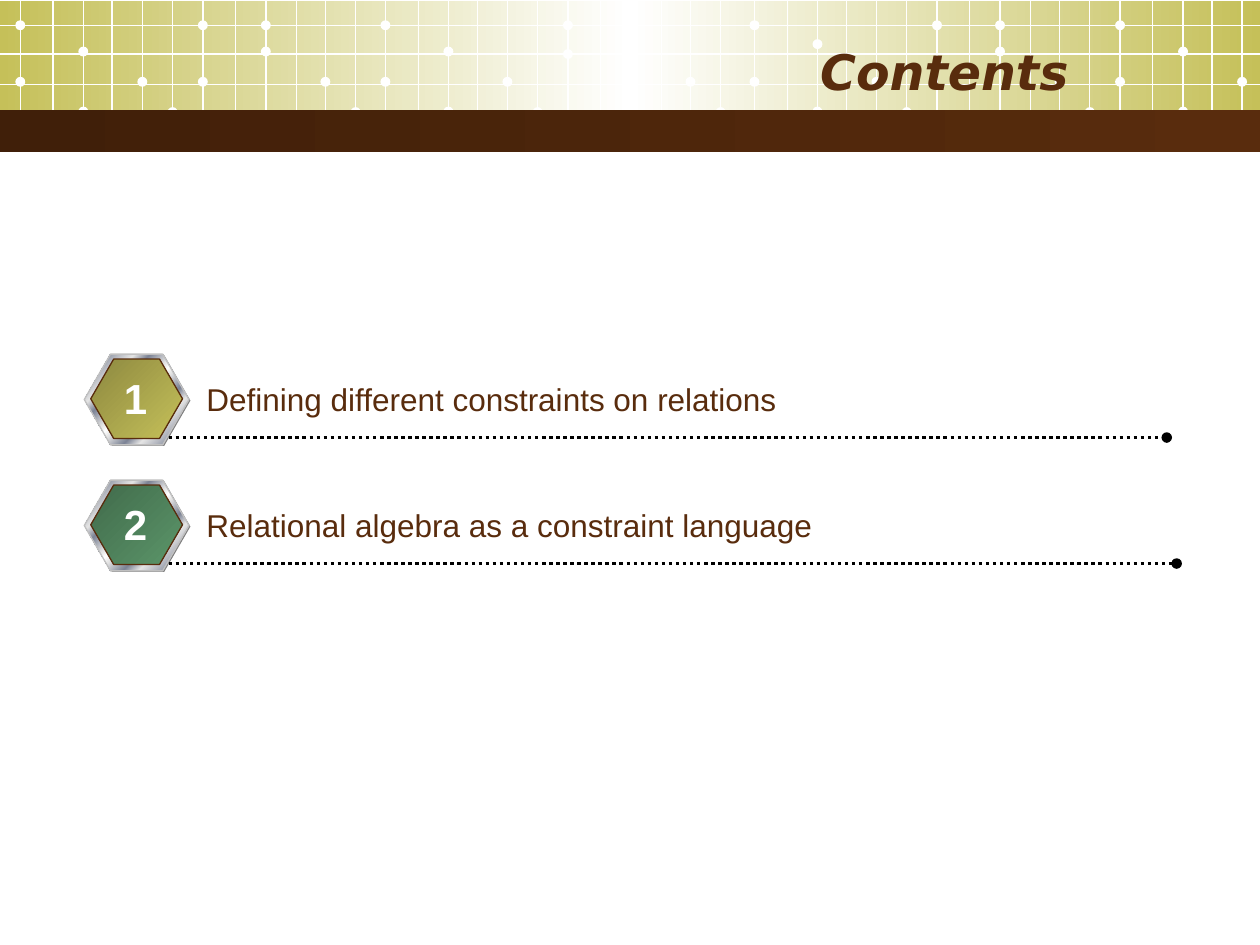
from copy import deepcopy
from dataclasses import dataclass

from lxml import etree
from pptx import Presentation
from pptx.dml.color import RGBColor
from pptx.enum.dml import MSO_LINE
from pptx.enum.shapes import MSO_CONNECTOR, MSO_SHAPE
from pptx.enum.text import MSO_ANCHOR, MSO_AUTO_SIZE, PP_ALIGN
from pptx.oxml.ns import qn
from pptx.util import Cm, Pt

RECTANGLE, OVAL, HEXAGON = MSO_SHAPE.RECTANGLE, MSO_SHAPE.OVAL, MSO_SHAPE.HEXAGON
STRAIGHT = MSO_CONNECTOR.STRAIGHT
DOTTED = MSO_LINE.ROUND_DOT
LEFT, CENTER, RIGHT = PP_ALIGN.LEFT, PP_ALIGN.CENTER, PP_ALIGN.RIGHT
MIDDLE = MSO_ANCHOR.MIDDLE
GROW = MSO_AUTO_SIZE.SHAPE_TO_FIT_TEXT

WHITE = RGBColor(0xFF, 0xFF, 0xFF)
BLACK = RGBColor(0x00, 0x00, 0x00)
BROWN = RGBColor(0x59, 0x2C, 0x0D)
DARK_BROWN = RGBColor(0x40, 0x1F, 0x09)
OLIVE = RGBColor(0xC5, 0xC0, 0x59)
DARK_OLIVE = RGBColor(0x8D, 0x89, 0x40)
GREEN = RGBColor(0x5B, 0x95, 0x69)
DARK_GREEN = RGBColor(0x41, 0x6B, 0x4B)
GRAY = RGBColor(0x80, 0x80, 0x80)
SILVER = RGBColor(0xC0, 0xC0, 0xC0)
LIGHT = RGBColor(0xE6, 0xE6, 0xE6)
STEEL = RGBColor(0x7D, 0x84, 0x96)

Stops = list[tuple[int, RGBColor]]
METAL: Stops = [(0, LIGHT), (8, STEEL), (26, LIGHT), (34, STEEL), (46, LIGHT), (50, WHITE),
                (54, LIGHT), (66, STEEL), (74, LIGHT), (92, STEEL), (100, LIGHT)]

# Header grid in cm: a tile of twelve columns, repeated across the page
TILE_LEFTS = (0.41, 7.77, 15.21, 22.58)
COLUMNS = (0, 0.66, 1.27, 1.85, 2.46, 3.07, 3.68, 4.34, 4.95, 5.56, 6.15, 6.76)
ROWS = (0.51, 1.09, 1.7, 2.26)
TILE_DOTS = ((0, 1.65), (0, 0.51), (2, 1.04), (2, 2.25), (4, 1.65), (5, 2.26),
             (6, 1.65), (6, 0.51), (8, 1.04), (8, 0.51), (10, 1.65), (11, 2.26))
MOVED_DOTS = {(1, 6, 1.65): 1.09, (2, 2, 1.04): 0.89, (2, 6, 1.65): 1.3}
DOT_SIZE = 0.2
PAGE_WIDTH = 25.4


@dataclass
class Box:
    left: float
    top: float
    width: float
    height: float

    def lengths(self) -> tuple:
        return Cm(self.left), Cm(self.top), Cm(self.width), Cm(self.height)


@dataclass
class Item:
    number: str
    text: str
    dark: RGBColor
    light: RGBColor
    text_width: float
    line_end: float


ITEMS = (
    Item("1", "Defining different constraints on relations", DARK_OLIVE, OLIVE, 19.41, 23.52),
    Item("2", "Relational algebra as a constraint language", DARK_GREEN, GREEN, 19.79, 23.72),
)
FIRST_TOP, ITEM_STEP = 7.14, 2.54


def set_gradient(shape, stops: Stops, angle: float) -> None:
    shape.fill.gradient()
    shape.fill.gradient_angle = angle
    stop_list = shape._element.spPr.find(qn("a:gradFill")).find(qn("a:gsLst"))
    for extra in stop_list[1:]:
        stop_list.remove(extra)
    for _ in stops[1:]:
        stop_list.append(deepcopy(stop_list[0]))
    for stop, (percent, color) in zip(shape.fill.gradient_stops, stops):
        stop.position = percent / 100
        stop.color.rgb = color


def add_shape(page, kind, box: Box, fill: RGBColor | Stops, angle: float = 0,
              outline: RGBColor | None = None):
    shape = page.shapes.add_shape(kind, *box.lengths())
    shape.shadow.inherit = False
    if isinstance(fill, list):
        set_gradient(shape, fill, angle)
    else:
        shape.fill.solid()
        shape.fill.fore_color.rgb = fill
    if outline is None:
        shape.line.fill.background()
    else:
        shape.line.color.rgb = outline
        shape.line.width = Pt(0.75)
    return shape


def add_hexagon(page, box: Box, fill: RGBColor | Stops, outline: RGBColor | None = None) -> None:
    hexagon = add_shape(page, HEXAGON, box, fill, 315, outline)
    hexagon.adjustments[0] = 0.289


def add_line(page, start: tuple[float, float], end: tuple[float, float],
             color: RGBColor, width: float):
    line = page.shapes.add_connector(STRAIGHT, *map(Cm, start + end))
    line.line.color.rgb = color
    line.line.width = Pt(width)
    etree.SubElement(line._element.spPr, qn("a:effectLst"))
    return line


def add_text(page, box: Box, text: str, size: float, color: RGBColor, align, font: str = "Arial",
             bold: bool = False, wrap: bool = True):
    text_box = page.shapes.add_textbox(*box.lengths())
    frame = text_box.text_frame
    frame.text = text
    frame.word_wrap = wrap
    frame.auto_size = GROW
    paragraph = frame.paragraphs[0]
    paragraph.alignment = align
    span = paragraph.runs[0]
    span.font.name = font
    span.font.size = Pt(size)
    span.font.bold = bold
    span.font.color.rgb = color
    return text_box


def draw_header(page) -> None:
    add_shape(page, RECTANGLE, Box(0, 0.02, PAGE_WIDTH, 2.6),
              [(0, OLIVE), (50, WHITE), (100, OLIVE)])
    # Grid lines and dots
    for tile, tile_left in enumerate(TILE_LEFTS):
        for offset in COLUMNS:
            x = tile_left + offset
            if x < PAGE_WIDTH:
                add_line(page, (x, 0), (x, 2.8), WHITE, 0.75)
        for column, y in TILE_DOTS:
            x = tile_left + COLUMNS[column]
            y = MOVED_DOTS.get((tile, column, y), y)
            if x < PAGE_WIDTH:
                add_shape(page, OVAL, Box(x - DOT_SIZE / 2, y - DOT_SIZE / 2, DOT_SIZE, DOT_SIZE),
                          WHITE)
    for y in ROWS:
        add_line(page, (0, y), (PAGE_WIDTH, y), WHITE, 0.75)
    # Brown band and title
    add_shape(page, RECTANGLE, Box(0, 2.22, PAGE_WIDTH, 0.85), [(0, DARK_BROWN), (100, BROWN)])
    title = add_text(page, Box(1.27, 0.64, 20.52, 1.57), "Contents", 28, BROWN, RIGHT,
                     "DejaVu Sans", bold=True)
    title.text_frame.auto_size = MSO_AUTO_SIZE.NONE
    title.text_frame.vertical_anchor = MIDDLE
    title.text_frame.paragraphs[0].runs[0].font.italic = True


def draw_item(page, item: Item, top: float) -> None:
    # Badge: shadow, metal rim, coloured face
    add_hexagon(page, Box(1.73, top + 0.02, 2.11, 1.83), GRAY)
    add_hexagon(page, Box(1.7, top, 2.11, 1.83), METAL, SILVER)
    add_hexagon(page, Box(1.83, top + 0.1, 1.85, 1.6), [(0, item.dark), (100, item.light)], BROWN)
    # Dotted rule ending in a round head
    y = top + 1.68
    rule = add_line(page, (3.4, y), (item.line_end, y), BLACK, 2)
    rule.line.dash_style = DOTTED
    etree.SubElement(rule.line._get_or_add_ln(), qn("a:tailEnd"), type="oval")
    # Wording and number
    add_text(page, Box(3.91, top + 0.4, item.text_width, 1.02), item.text, 18, BROWN, LEFT)
    add_text(page, Box(2.24, top + 0.25, 0.99, 1.27), item.number, 24, WHITE, CENTER,
             bold=True, wrap=False)


def main() -> None:
    deck = Presentation()
    deck.slide_width, deck.slide_height = Cm(PAGE_WIDTH), Cm(19.05)
    page = deck.slides.add_slide(deck.slide_layouts[6])
    draw_header(page)
    for index, item in enumerate(ITEMS):
        draw_item(page, item, FIRST_TOP + index * ITEM_STEP)
    deck.save("out.pptx")


if __name__ == "__main__":
    main()
